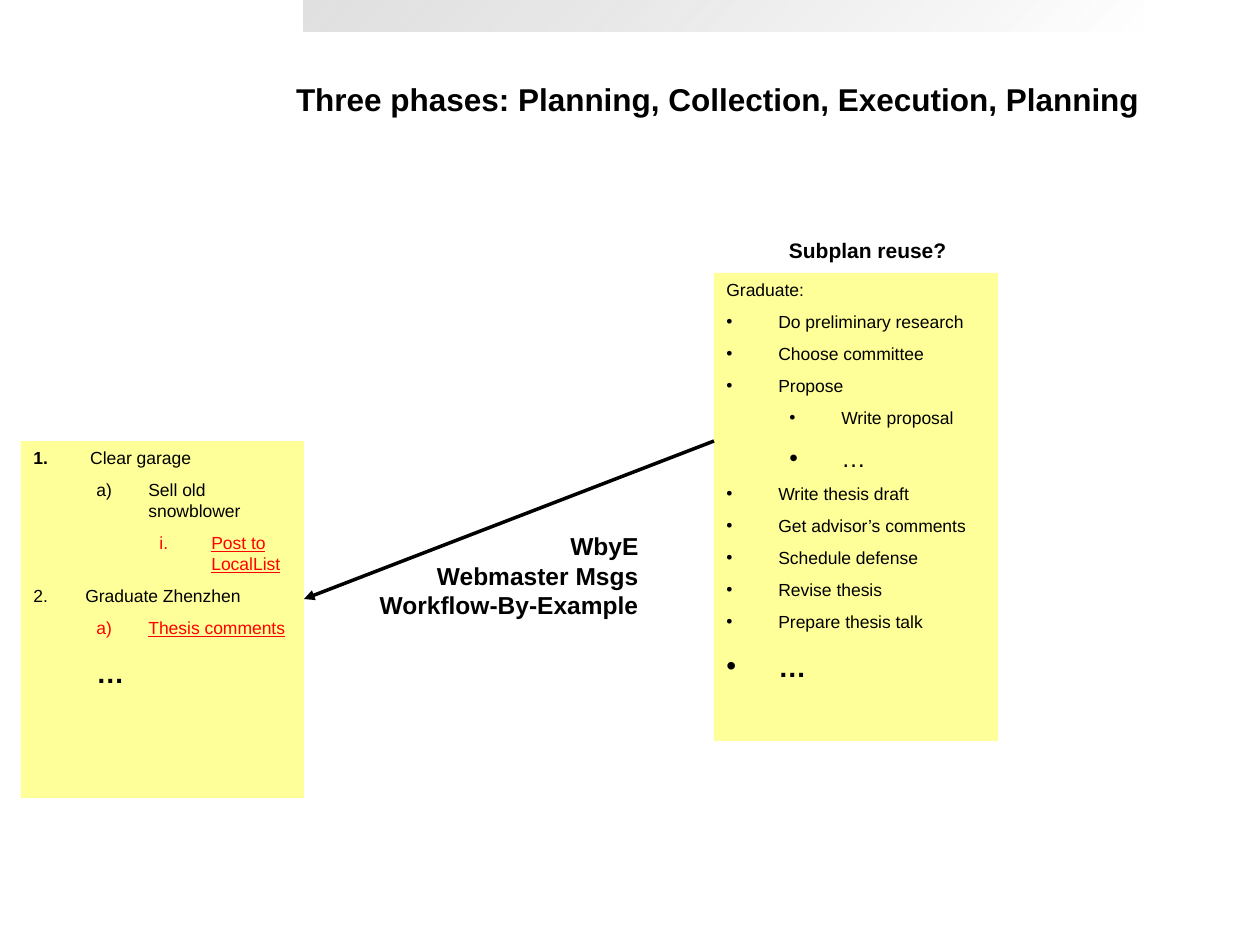
from lxml.etree import SubElement
from pptx import Presentation
from pptx.dml.color import RGBColor
from pptx.enum.shapes import MSO_CONNECTOR as Connector, MSO_SHAPE as Shape
from pptx.enum.text import MSO_ANCHOR as Anchor, PP_ALIGN as Align
from pptx.oxml.ns import qn
from pptx.util import Pt

SCALE = 914400 / 126
BLACK, RED, YELLOW = "000000", "FF0000", "FFFF99"
HANG, LEVEL_STEP = 52, 63
NUMBERING = ("arabicPeriod", "alphaLcParenR", "romanLcPeriod")

BANNER = (304, 0, 840, 32)
BANNER_STOPS = (("FFFFFF", 68), ("C0C0C0", 48))
ARROW = (714, 441, 304, 599)

LABELS = [
    ((264, 74, 888, 50), 18, ["Three phases: Planning, Collection, Execution, Planning"]),
    ((361, 525, 290, 101), 14, ["WbyE", "Webmaster Msgs", "Workflow-By-Example"]),
    ((769, 231, 190, 38), 12, ["Subplan reuse?"]),
]

# level, marker, text, size, bold, colour
TODO = [
    (0, "number", "Clear garage", 10, False, BLACK),
    (1, "number", "Sell old snowblower", 10, False, BLACK),
    (2, "number", "Post to LocalList", 10, False, RED),
    (0, "number", "Graduate Zhenzhen", 10, False, BLACK),
    (1, "number", "Thesis comments", 10, False, RED),
    (1, None, "…", 16, True, BLACK),
]
SUBPLAN = [
    (0, None, "Graduate:", 10, False, BLACK),
    (0, "•", "Do preliminary research", 10, False, BLACK),
    (0, "•", "Choose committee", 10, False, BLACK),
    (0, "•", "Propose", 10, False, BLACK),
    (1, "•", "Write proposal", 10, False, BLACK),
    (1, "•", "…", 14, False, BLACK),
    (0, "•", "Write thesis draft", 10, False, BLACK),
    (0, "•", "Get advisor’s comments", 10, False, BLACK),
    (0, "•", "Schedule defense", 10, False, BLACK),
    (0, "•", "Revise thesis", 10, False, BLACK),
    (0, "•", "Prepare thesis talk", 10, False, BLACK),
    (0, "•", "…", 16, True, BLACK),
]
NOTES = [((21, 441, 283, 357), TODO), ((714, 273, 284, 468), SUBPLAN)]


def px(value):
    return round(value * SCALE)


def color(value):
    return RGBColor.from_string(value)


def set_font(font, size, bold, tint):
    font.name, font.size, font.bold = "Arial", Pt(size), bold
    font.color.rgb = color(tint)


def add_rect(page, place):
    box = page.shapes.add_shape(Shape.RECTANGLE, *map(px, place))
    box.shadow.inherit = False
    box.line.fill.background()
    return box


def add_banner(page):
    box = add_rect(page, BANNER)
    box.fill.gradient()
    box.fill.gradient_angle = 135
    for stop, (tint, _) in zip(box.fill.gradient_stops, BANNER_STOPS):
        stop.color.rgb = color(tint)
    for node, (_, opacity) in zip(box._element.spPr.iter(qn("a:srgbClr")), BANNER_STOPS):
        SubElement(node, qn("a:alpha"), val=str(opacity * 1000))


def set_marker(para, level, marker, tint):
    props = para._p.get_or_add_pPr()
    props.set("marL", str(px(HANG + level * LEVEL_STEP)))
    props.set("indent", str(-px(HANG)))
    if marker is None:
        SubElement(props, qn("a:buNone"))
        return
    SubElement(SubElement(props, qn("a:buClr")), qn("a:srgbClr"), val=tint)
    if marker == "number":
        SubElement(props, qn("a:buFontTx"))
        SubElement(props, qn("a:buAutoNum"), type=NUMBERING[level])
    else:
        SubElement(props, qn("a:buFont"), typeface="Arial")
        SubElement(props, qn("a:buChar"), char=marker)


def add_note(page, place, items):
    box = add_rect(page, place)
    box.fill.solid()
    box.fill.fore_color.rgb = color(YELLOW)
    frame = box.text_frame
    frame.word_wrap, frame.vertical_anchor = True, Anchor.TOP
    for index, (level, marker, text, size, bold, tint) in enumerate(items):
        para = frame.add_paragraph() if index else frame.paragraphs[0]
        para.level, para.alignment = level, Align.LEFT
        para.space_before = Pt(round(size * 0.625, 1))
        set_marker(para, level, marker, tint)
        set_font(para.font, size, bold, tint)
        para.font.underline = tint == RED
        if marker == "number" and index == 0:
            lead = para.add_run()
            lead.text, lead.font.bold = " ", True
        para.add_run().text = text


def add_label(page, place, size, lines):
    frame = page.shapes.add_textbox(*map(px, place)).text_frame
    frame.word_wrap = False
    for index, text in enumerate(lines):
        para = frame.add_paragraph() if index else frame.paragraphs[0]
        para.text, para.alignment = text, Align.RIGHT
        set_font(para.font, size, True, BLACK)


def add_arrow(page):
    arrow = page.shapes.add_connector(Connector.STRAIGHT, *map(px, ARROW))
    arrow.line.width = Pt(2)
    arrow.line.color.rgb = color(BLACK)
    SubElement(arrow.line._get_or_add_ln(), qn("a:tailEnd"), type="triangle")
    SubElement(arrow._element.spPr, qn("a:effectLst"))


def main():
    """Build the slide on planning phases and subplan reuse."""
    deck = Presentation()
    deck.slide_width, deck.slide_height = px(1260), px(945)
    page = deck.slides.add_slide(deck.slide_layouts[6])
    add_banner(page)
    for place, items in NOTES:
        add_note(page, place, items)
    add_arrow(page)
    for place, size, lines in LABELS:
        add_label(page, place, size, lines)
    deck.save("out.pptx")


if __name__ == "__main__":
    main()
